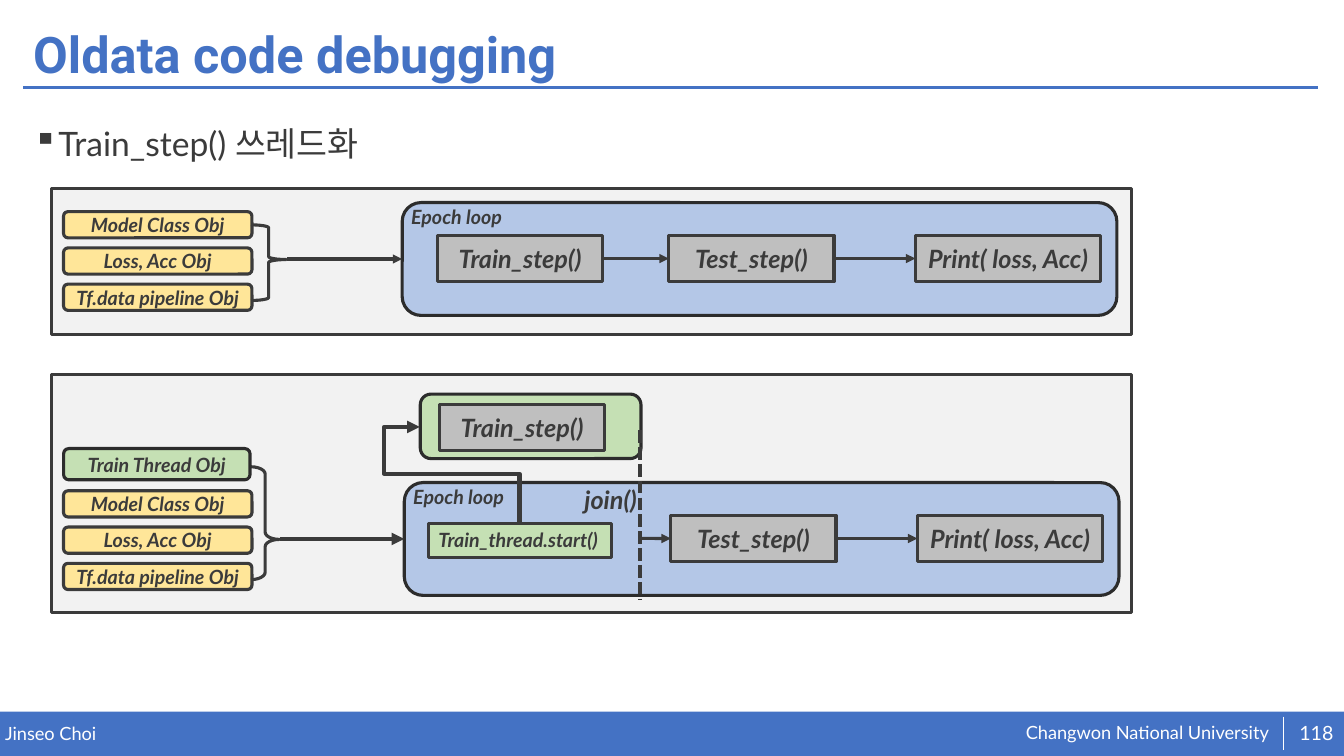
import pptx
import pptx.util
import pptx.dml.color
import pptx.enum.dml
import pptx.enum.shapes
import pptx.enum.text
import pptx.oxml.ns
from lxml import etree

Pt = pptx.util.Pt
qn = pptx.oxml.ns.qn
SHAPE = pptx.enum.shapes.MSO_SHAPE
CONNECTOR = pptx.enum.shapes.MSO_CONNECTOR
ANCHOR = pptx.enum.text.MSO_ANCHOR
ALIGN = pptx.enum.text.PP_ALIGN
TOP, LEFT, BOTTOM, RIGHT = range(4)

COLORS = {
    "brand": "4472C4", "white": "FFFFFF", "ink": "3B3B3B", "edge": "2C2C2C",
    "panel": "F2F2F2", "loop": "B4C7E7", "step": "BFBFBF",
    "object": "FFE699", "thread": "C5E0B4",
}


def rgb(name):
    return pptx.dml.color.RGBColor.from_string(COLORS[name])


def write(shape, text, size, color="ink", font="Lato", bold=True, italic=True,
          align=ALIGN.LEFT, anchor=ANCHOR.TOP, inset=True):
    frame = shape.text_frame
    frame.text = text
    frame.word_wrap = True
    frame.vertical_anchor = anchor
    if not inset:
        frame.margin_left = frame.margin_right = 0
        frame.margin_top = frame.margin_bottom = 0
    paragraph = frame.paragraphs[0]
    paragraph.alignment = align
    for run in paragraph.runs:
        run.font.name = font
        run.font.size = Pt(size)
        run.font.bold = bold
        run.font.italic = italic
        run.font.color.rgb = rgb(color)
    return paragraph


def add_text(slide, box, text, size, **style):
    shape = slide.shapes.add_textbox(*map(Pt, box))
    return write(shape, text, size, **style)


def add_box(slide, box, fill, line="ink", kind=SHAPE.RECTANGLE):
    shape = slide.shapes.add_shape(kind, *map(Pt, box))
    shape.shadow.inherit = False
    if fill:
        shape.fill.solid()
        shape.fill.fore_color.rgb = rgb(fill)
    else:
        shape.fill.background()
    if line:
        shape.line.color.rgb = rgb(line)
        shape.line.width = Pt(2.25)
    else:
        shape.line.fill.background()
    return shape


def add_label_box(slide, box, text, size, fill, line="ink", kind=SHAPE.RECTANGLE):
    shape = add_box(slide, box, fill, line, kind)
    write(shape, text, size, align=ALIGN.CENTER, anchor=ANCHOR.MIDDLE)
    return shape


def add_step(slide, left, top, text, width=118):
    return add_label_box(slide, (left, top, width, 33.1), text, 18, "step")


def add_line(slide, start, end, color="ink", width=2.25, arrow=False,
             kind=CONNECTOR.STRAIGHT):
    line = slide.shapes.add_connector(kind, *map(Pt, start + end))
    line.line.color.rgb = rgb(color)
    line.line.width = Pt(width)
    if arrow:
        etree.SubElement(line.line._get_or_add_ln(), qn("a:tailEnd"), type="triangle")
    etree.SubElement(line._element.spPr, qn("a:effectLst"))
    return line


def add_step_arrow(slide, source, target):
    arrow = add_line(slide, (0, 0), (0, 0), arrow=True)
    arrow.begin_connect(source, RIGHT)
    arrow.end_connect(target, LEFT)


def add_brace(slide, box, curl, tip):
    brace = add_box(slide, box, None, kind=SHAPE.RIGHT_BRACE)
    brace.adjustments[0] = curl
    brace.adjustments[1] = tip


def add_objects(slide, top):
    names = ("Model Class Obj", "Loss, Acc Obj", "Tf.data pipeline Obj")
    for index, name in enumerate(names):
        add_label_box(slide, (45.4, top + 25.9 * index, 134.6, 18.7), name, 14,
                      "object", kind=SHAPE.ROUNDED_RECTANGLE)


def add_epoch_loop(slide, left, top):
    """Draw the loop with its last two steps; return the loop and the test step."""
    loop = add_box(slide, (left, top, 510.5, 80.6), "loop", "edge",
                   SHAPE.ROUNDED_RECTANGLE)
    add_text(slide, (left - 0.7, top - 2.2, 141.8, 24.5), "Epoch loop", 14)
    test = add_step(slide, left + 190.4, top + 23.4, "Test_step()")
    report = add_step(slide, left + 366.5, top + 23.4, "Print( loss, Acc)", 132.5)
    add_step_arrow(slide, test, report)
    return loop, test


def add_thread_start_arrow(slide):
    """Draw the four-part elbow from the start call up to the thread."""
    elbow = add_line(slide, (301, 375.2), (370, 303.9), width=3, arrow=True,
                     kind=CONNECTOR.ELBOW)
    elbow._element.spPr.find(qn("a:xfrm")).set("rot", "16200000")
    geometry = elbow._element.spPr.find(qn("a:prstGeom"))
    geometry.set("prst", "bentConnector4")
    guides = geometry.find(qn("a:avLst"))
    for name, value in (("adj1", 51700), ("adj2", 135800)):
        etree.SubElement(guides, qn("a:gd"), name=name, fmla=f"val {value}")


def add_heading(slide):
    add_line(slide, (16.6, 62.6), (941.8, 62.6), "brand", 2)
    title = add_text(slide, (16.6, 13, 925.9, 55.4), "Oldata code debugging", 36,
                     color="brand", font="Roboto", italic=False,
                     anchor=ANCHOR.MIDDLE)
    title.line_spacing = 0.9
    bullet = add_text(slide, (16.6, 72.7, 925.9, 405.4), "Train_step() 쓰레드화", 24,
                      bold=False, italic=False)
    bullet.line_spacing = 1.4
    properties = bullet._p.get_or_add_pPr()
    properties.set("marL", str(Pt(18)))
    properties.set("indent", str(-Pt(18)))
    etree.SubElement(properties, qn("a:buChar"), char="▪")


def add_footer(slide):
    add_box(slide, (0, 508.3, 960, 31.7), "brand", None)
    plain = dict(color="white", bold=False, italic=False, inset=False)
    add_text(slide, (729.4, 515.5, 195.1, 16.6), " Changwon National University",
             13, **plain)
    add_text(slide, (3.6, 516.2, 471.6, 15.8), "Jinseo Choi", 13, **plain)
    add_line(slide, (916.6, 511.9), (916.6, 535.7), "white", 0.5)
    add_text(slide, (923, 509, 34.6, 28.8), "118", 14, align=ALIGN.CENTER,
             anchor=ANCHOR.MIDDLE, **plain)


def add_sequential_panel(slide):
    add_box(slide, (36.7, 134.6, 771.8, 104.4), "panel")
    loop, test = add_epoch_loop(slide, 287.3, 144.7)
    train = add_step(slide, 312.5, 168.1, "Train_step()")
    add_step_arrow(slide, train, test)
    add_objects(slide, 151.2)
    add_brace(slide, (179.3, 160.6, 25.2, 54), 0.083, 0.459)
    add_line(slide, (205.2, 185), (287.3, 185), arrow=True).end_connect(loop, LEFT)


def add_threaded_panel(slide):
    add_box(slide, (36.7, 267.8, 771.8, 169.9), "panel")
    loop, test = add_epoch_loop(slide, 288.8, 344.7)
    add_objects(slide, 350.6)
    add_brace(slide, (179.3, 333.4, 20.2, 80.6), 0.258, 0.644)
    add_line(slide, (200.2, 385), (288.8, 385), width=3,
             arrow=True).end_connect(loop, LEFT)
    add_line(slide, (457.9, 384.6), (479.2, 384.6), arrow=True).end_connect(test, LEFT)
    add_box(slide, (300.2, 281.5, 157.7, 46.1), "thread", "edge",
            SHAPE.ROUNDED_RECTANGLE)
    join = add_line(slide, (457.2, 307.4), (457.2, 427.7), width=3)
    join.line.dash_style = pptx.enum.dml.MSO_LINE.SQUARE_DOT
    add_text(slide, (410.4, 342.7, 167.8, 28.8), "join()", 18)
    add_step(slide, 313.9, 288.7, "Train_step()")
    add_label_box(slide, (45.4, 320.4, 133.2, 22.3), "Train Thread Obj", 14,
                  "thread", "edge", SHAPE.ROUNDED_RECTANGLE)
    start = add_box(slide, (306, 373.7, 131, 24.5), "thread")
    write(start, "Train_thread.start()", 14)
    add_thread_start_arrow(slide)


def main():
    presentation = pptx.Presentation()
    presentation.slide_width = Pt(960)
    presentation.slide_height = Pt(540)
    slide = presentation.slides.add_slide(presentation.slide_layouts[6])
    add_footer(slide)
    add_heading(slide)
    add_sequential_panel(slide)
    add_threaded_panel(slide)
    presentation.save("out.pptx")


if __name__ == "__main__":
    main()
